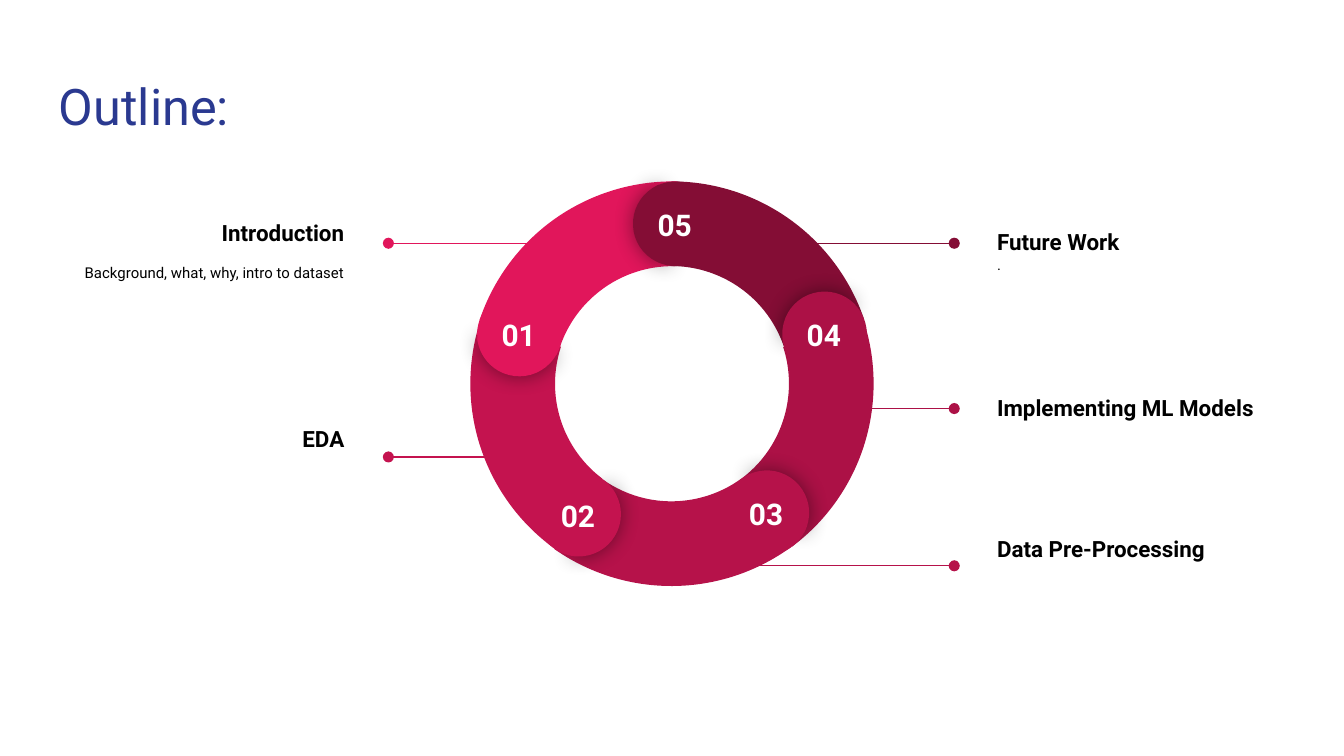
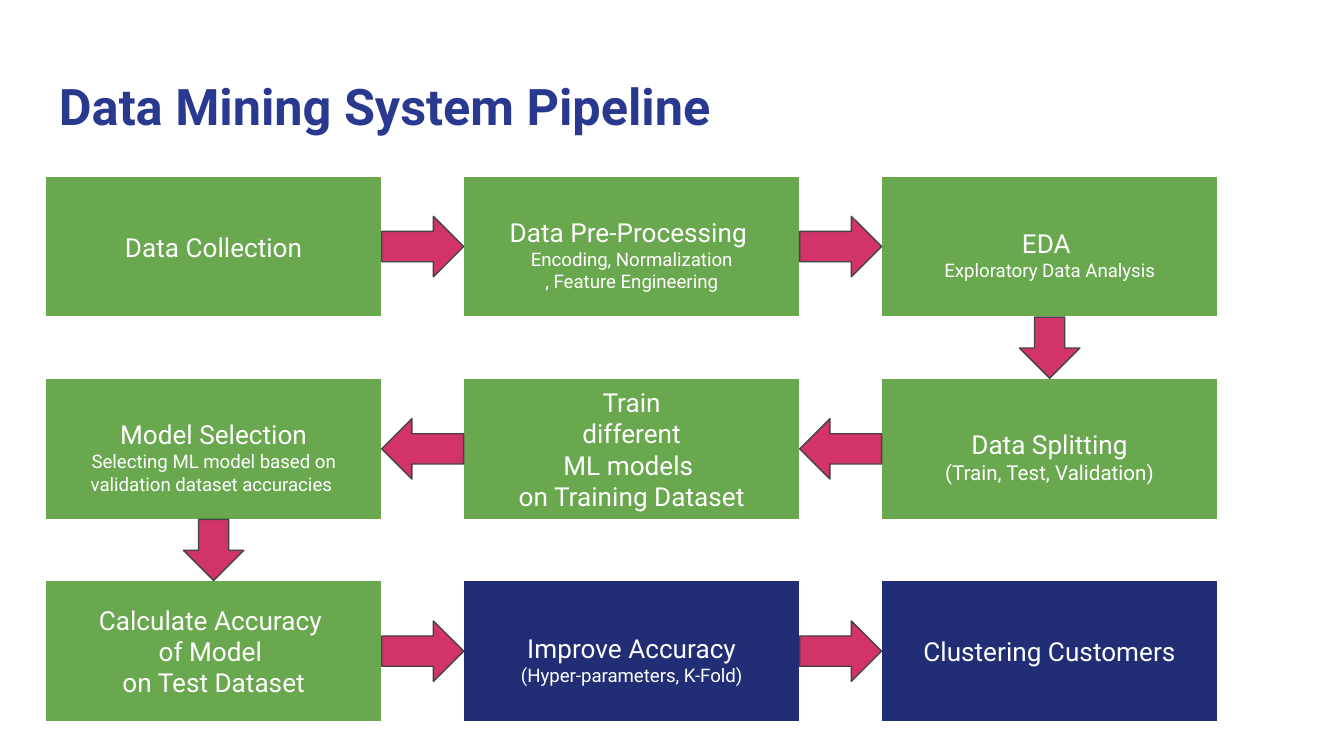
"""Build two slides: a ring-shaped outline and a data mining pipeline."""
from lxml.etree import SubElement as Sub
from pptx import Presentation
from pptx.dml.color import RGBColor as RGB
from pptx.enum.shapes import MSO_CONNECTOR, MSO_SHAPE as Kind
from pptx.enum.text import MSO_ANCHOR as Anchor, PP_ALIGN as Align
from pptx.oxml.ns import qn
from pptx.util import Inches, Pt

COLORS = {
    "title": "2A3990", "ink": "000000", "white": "FFFFFF",
    "01": "E1165B", "02": "C4134F", "03": "B6124A", "04": "AC1146", "05": "840D35",
    "stage": "6AA84F", "next": "212D74", "arrow": "D23369", "arrow_edge": "434343",
}
FONT = "Roboto"


def write(shape, lines, color, align, anchor, bottom=0.1):
    """Fill a shape with lines given as (text, size, bold, line spacing, space before)."""
    frame = shape.text_frame
    frame.word_wrap = True
    frame.vertical_anchor = anchor
    frame.margin_left = frame.margin_right = frame.margin_top = Inches(0.1)
    frame.margin_bottom = Inches(bottom)
    for i, (text, size, bold, spacing, before) in enumerate(lines):
        para = frame.paragraphs[0] if i == 0 else frame.add_paragraph()
        para.alignment = align
        para.line_spacing = spacing
        para.space_before = Pt(before)
        run = para.add_run()
        run.text = text
        run.font.name = FONT
        run.font.size = Pt(size)
        run.font.bold = bold
        run.font.color.rgb = RGB.from_string(COLORS[color])


def draw(slide, kind, box, fill, edge=None, rotation=0, adjust=()):
    """Add a flat preset shape with an optional thin outline."""
    shape = slide.shapes.add_shape(kind, *map(Inches, box))
    shape.shadow.inherit = False
    shape.rotation = rotation % 360
    shape.fill.solid()
    shape.fill.fore_color.rgb = RGB.from_string(COLORS[fill])
    if edge:
        shape.line.color.rgb = RGB.from_string(COLORS[edge])
        shape.line.width = Pt(0.75)
    else:
        shape.line.fill.background()
    for i, value in enumerate(adjust):
        shape.adjustments[i] = value
    return shape


deck = Presentation()
deck.slide_width, deck.slide_height = Inches(10), Inches(10 * 9 / 16)
slides = []
for heading, bold in [("Outline:", False), ("Data Mining System Pipeline", True)]:
    slide = deck.slides.add_slide(deck.slide_layouts[6])
    title = slide.shapes.add_textbox(*map(Inches, (0.34, 0.45, 9.32, 0.66)))
    write(title, [(heading, 27, bold, 1, 0)], "title", Align.LEFT, Anchor.BOTTOM)
    slides.append(slide)
outline, pipeline = slides

topics = [
    ("01", "Introduction", "Background, what, why, intro to dataset", 9.4,
     (0.34, 1.36, 2.32), 0.1, (4.23, 2.89, 1.81)),
    ("02", "EDA", "", 0, (0.34, 2.89, 2.32), 0.36, (3.91, 2.89, 3.4)),
    ("03", "Data Pre-Processing", "", 0, (7.32, 3.71, 2.32), 0.36, (5.09, 7.1, 4.21)),
    ("05", "Future Work", ".", 0, (7.32, 1.36, 2.68), 0.1, (5.7, 7.1, 1.81)),
    ("04", "Implementing ML Models", "", 0, (7.32, 2.53, 2.68), 0.1, (6.14, 7.1, 3.04)),
]
for number, topic, detail, gap, place, bottom, (start, end, y) in topics:
    leader = outline.shapes.add_connector(
        MSO_CONNECTOR.STRAIGHT, *map(Inches, (start, y, end, y)))
    leader.line.color.rgb = RGB.from_string(COLORS[number])
    leader.line.width = Pt(0.75)
    Sub(leader.line._get_or_add_ln(), qn("a:tailEnd"), type="oval")
    Sub(leader._element.spPr, qn("a:effectLst"))
    label = outline.shapes.add_textbox(*map(Inches, (*place, 1.01)))
    lines = [(topic, 12, True, 1, 0)]
    if detail:
        lines.append((detail, 8, False, 1, gap))
    side = Align.RIGHT if end < start else Align.LEFT
    write(label, lines, "ink", side, Anchor.MIDDLE, bottom)

RING, CAP = 3.03, 0.63
arcs = [
    ("02", 3.5, 1.34, 277, 126.03), ("04", 3.47, 1.34, 132, 126.03),
    ("05", 3.48, 1.35, 60, 126.03), ("03", 3.48, 1.33, 204, 126.03),
    ("01", 3.49, 1.35, 350, 125.13),
]
for number, left, top, turn, arc_start in arcs:
    draw(outline, Kind.BLOCK_ARC, (left, top, RING, RING), number,
         rotation=turn, adjust=(arc_start, 168.68, 0.208))

caps = [
    ("04", 5.82, 2.17, 67.1), ("02", 3.99, 3.51, 211.1), ("05", 4.71, 1.35, 357.1),
    ("03", 5.39, 3.5, 139.1), ("01", 3.55, 2.17, 284.1),
]
for number, left, top, turn in caps:
    box = (left, top, CAP, CAP)
    front = draw(outline, Kind.PIE, box, number, rotation=turn, adjust=(61.9, 149.96))
    effects = front._element.spPr.find(qn("a:effectLst"))
    glow = Sub(effects, qn("a:outerShdw"), blurRad=str(Pt(11.2)), dist="0", dir="0",
               algn="ctr", rotWithShape="0")
    tint = Sub(glow, qn("a:srgbClr"), val=COLORS["ink"])
    Sub(tint, qn("a:alpha"), val="43000")
    draw(outline, Kind.PIE, box, number, rotation=turn + 179.3, adjust=(40.28, 171.84))
for number, left, top, turn in caps:
    numeral = outline.shapes.add_textbox(
        *map(Inches, (left + 0.03, top + 0.09, 0.56, 0.29)))
    write(numeral, [(number, 16, True, 1, 0)], "white", Align.CENTER, Anchor.TOP)

WIDTH, HEIGHT = 2.5, 1.05
PITCH_X, PITCH_Y = 3.11, 3.01 / 2
GAP_X, GAP_Y = PITCH_X - WIDTH, PITCH_Y - HEIGHT
ARROW = 0.45
stages = [
    (0, 0, "stage", ["Data Collection"], [], 10),
    (1, 0, "stage", ["Data Pre-Processing "],
     ["Encoding, Normalization", ", Feature Engineering"], 10),
    (2, 0, "stage", ["EDA "], ["Exploratory Data Analysis"], 10),
    (2, 1, "stage", ["Data Splitting"], ["(Train, Test, Validation)"], 11),
    (1, 1, "stage", ["Train", " different ", "ML models ", "on Training Dataset"], [], 10),
    (0, 1, "stage", ["Model Selection"],
     ["Selecting ML model based on validation dataset accuracies "], 10),
    (0, 2, "stage", ["Calculate Accuracy ", "of Model ", "on Test Dataset"], [], 10),
    (1, 2, "next", ["Improve Accuracy"], ["(Hyper-parameters, K-Fold)"], 10),
    (2, 2, "next", ["Clustering Customers"], [], 10),
]
for col, row, fill, names, details, size in stages:
    box = (0.34 + col * PITCH_X, 1.31 + row * PITCH_Y, WIDTH, HEIGHT)
    stage = draw(pipeline, Kind.RECTANGLE, box, fill, "white")
    lines = [(name, 14, False, 1.5 if details else 1, 0) for name in names]
    lines += [(detail, size, False, 1, 0) for detail in details]
    write(stage, lines, "white", Align.CENTER, Anchor.MIDDLE)

for (col, row, *_), (next_col, next_row, *_) in zip(stages, stages[1:]):
    left = 0.34 + min(col, next_col) * PITCH_X
    top = 1.31 + row * PITCH_Y
    if next_row > row:
        kind = Kind.DOWN_ARROW
        box = (left + (WIDTH - ARROW) / 2, top + HEIGHT, ARROW, GAP_Y)
    else:
        kind = Kind.RIGHT_ARROW if next_col > col else Kind.LEFT_ARROW
        box = (left + WIDTH, top + (HEIGHT - ARROW) / 2, GAP_X, ARROW)
    draw(pipeline, kind, box, "arrow", "arrow_edge")

deck.save("out.pptx")
